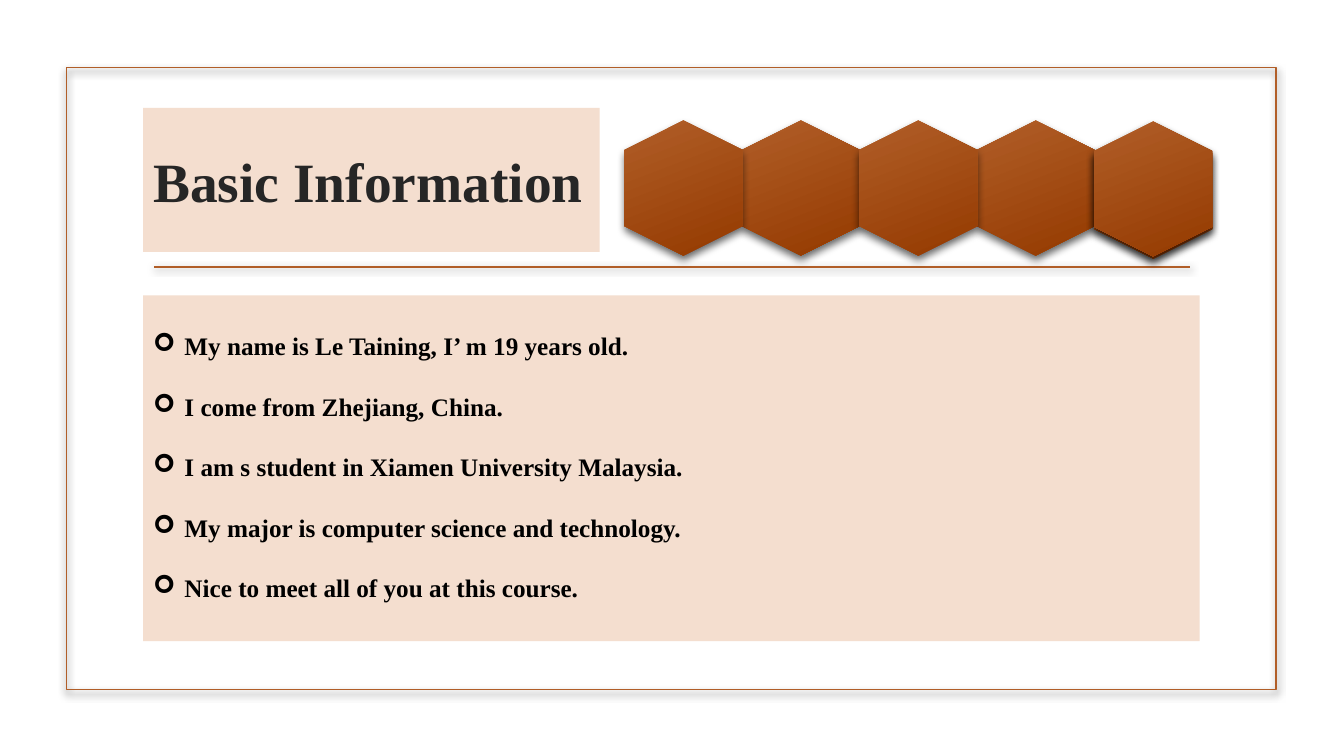
from dataclasses import dataclass

from lxml.etree import SubElement
from pptx import Presentation
from pptx.dml.color import RGBColor
from pptx.enum.dml import MSO_FILL
from pptx.enum.shapes import MSO_CONNECTOR, MSO_SHAPE
from pptx.enum.text import MSO_ANCHOR, MSO_AUTO_SIZE, PP_ALIGN
from pptx.oxml.ns import qn
from pptx.util import Inches, Pt


@dataclass(frozen=True)
class Theme:
    font: str = "Times New Roman"
    accent: str = "B15E28"
    accent_dark: str = "943A00"
    panel: str = "F4DECF"
    title: str = "262626"
    body: str = "000000"
    shadow: str = "000000"
    title_size: float = 39.6
    body_size: float = 18
    line_width: float = 1.25


@dataclass(frozen=True)
class Box:
    column: float
    row: float
    columns: float
    rows: float


@dataclass(frozen=True)
class Shadow:
    opacity: int
    blur: float
    distance: float


THEME = Theme()
COLUMNS, ROWS = 133.33, 75
FRAME = Box(6.6, 6.7, 120, 61.7)
TITLE = Box(14.2, 10.7, 45.3, 14.3)
BODY = Box(14.2, 29.3, 104.8, 34.3)
HEXAGON = Box(61.1, 12.8, 13.4, 11.7)
HEXAGON_STEP = 11.65
HEXAGON_OFFSETS = ((1, 0), (0, 0), (3, 0), (2, 0), (4, 0.3), (4, 0.1))
RULE_START, RULE_END, RULE_ROW = 15.3, 118.1, 26.5
SHAPE_SHADOW = Shadow(60, 6, 3)
RULE_SHADOW = Shadow(32, 5, 1)
FACTS = (
    "My name is Le Taining, I’ m 19 years old.",
    "I come from Zhejiang, China.",
    "I am s student in Xiamen University Malaysia.",
    "My major is computer science and technology.",
    "Nice to meet all of you at this course.",
)


def grid(cells: float) -> int:
    return Inches(cells / 10)


def placement(box: Box) -> tuple[int, ...]:
    return tuple(map(grid, (box.column, box.row, box.columns, box.rows)))


def add_shadow(shape, shadow: Shadow) -> None:
    effects = SubElement(shape.element.spPr, qn("a:effectLst"))
    outer = SubElement(
        effects, qn("a:outerShdw"), blurRad=str(Pt(shadow.blur)),
        dist=str(Pt(shadow.distance)), dir="5400000", rotWithShape="0",
    )
    color = SubElement(outer, qn("a:srgbClr"), val=THEME.shadow)
    SubElement(color, qn("a:alpha"), val=str(shadow.opacity * 1000))


def outline(shape) -> None:
    shape.line.color.rgb = RGBColor.from_string(THEME.accent)
    shape.line.width = Pt(THEME.line_width)


def add_frame(slide) -> None:
    frame = slide.shapes.add_shape(MSO_SHAPE.RECTANGLE, *placement(FRAME))
    frame.fill.background()
    outline(frame)
    add_shadow(frame, SHAPE_SHADOW)


def add_rule(slide) -> None:
    rule = slide.shapes.add_connector(
        MSO_CONNECTOR.STRAIGHT, grid(RULE_START), grid(RULE_ROW), grid(RULE_END), grid(RULE_ROW)
    )
    outline(rule)
    add_shadow(rule, RULE_SHADOW)


def add_hexagon(slide, position: int, drop: float) -> None:
    box = Box(HEXAGON.column + position * HEXAGON_STEP, HEXAGON.row + drop,
              HEXAGON.columns, HEXAGON.rows)
    hexagon = slide.shapes.add_shape(MSO_SHAPE.HEXAGON, *placement(box))
    hexagon.rotation = 90
    hexagon.adjustments[0] = 0.25
    hexagon.fill.gradient()
    assert hexagon.fill.type == MSO_FILL.GRADIENT
    for stop, color in zip(hexagon.fill.gradient_stops, (THEME.accent, THEME.accent_dark)):
        stop.color.rgb = RGBColor.from_string(color)
    hexagon.fill.gradient_angle = 360 - 69
    hexagon.element.spPr.find(qn("a:gradFill")).set("rotWithShape", "0")
    hexagon.line.fill.background()
    add_shadow(hexagon, SHAPE_SHADOW)


def write(paragraph, text: str, *, size: float, color: str, spacing: float = 1,
          bullet: str = "", indent: float = 0) -> None:
    paragraph.alignment = PP_ALIGN.LEFT
    paragraph.line_spacing = spacing
    paragraph.space_before = paragraph.space_after = Pt(0)
    run = paragraph.add_run()
    run.text = text
    run.font.name = THEME.font
    run.font.size = Pt(size)
    run.font.bold = True
    run.font.color.rgb = RGBColor.from_string(color)
    if bullet:
        properties = paragraph._p.get_or_add_pPr()
        properties.set("marL", str(grid(indent)))
        properties.set("indent", str(-grid(indent)))
        SubElement(properties, qn("a:buFont"), typeface="Wingdings")
        SubElement(properties, qn("a:buChar"), char=bullet)


def prepare_panel(placeholder, box: Box, anchor: MSO_ANCHOR):
    placeholder.left, placeholder.top, placeholder.width, placeholder.height = placement(box)
    placeholder.fill.solid()
    placeholder.fill.fore_color.rgb = RGBColor.from_string(THEME.panel)
    frame = placeholder.text_frame
    frame.word_wrap = True
    frame.auto_size = MSO_AUTO_SIZE.NONE
    frame.vertical_anchor = anchor
    return frame


def main() -> None:
    presentation = Presentation()
    presentation.slide_width, presentation.slide_height = grid(COLUMNS), grid(ROWS)
    slide = presentation.slides.add_slide(presentation.slide_layouts[1])
    add_frame(slide)
    add_rule(slide)
    title = prepare_panel(slide.shapes.title, TITLE, MSO_ANCHOR.MIDDLE)
    write(title.paragraphs[0], "Basic Information", size=THEME.title_size, color=THEME.title)
    for position, drop in HEXAGON_OFFSETS:
        add_hexagon(slide, position, drop)
    body = prepare_panel(slide.placeholders[1], BODY, MSO_ANCHOR.TOP)
    for number, fact in enumerate(FACTS):
        paragraph = body.add_paragraph() if number else body.paragraphs[0]
        write(paragraph, fact, size=THEME.body_size, color=THEME.body,
              spacing=2, bullet="➢", indent=3.1)
    presentation.save("out.pptx")


if __name__ == "__main__":
    main()
